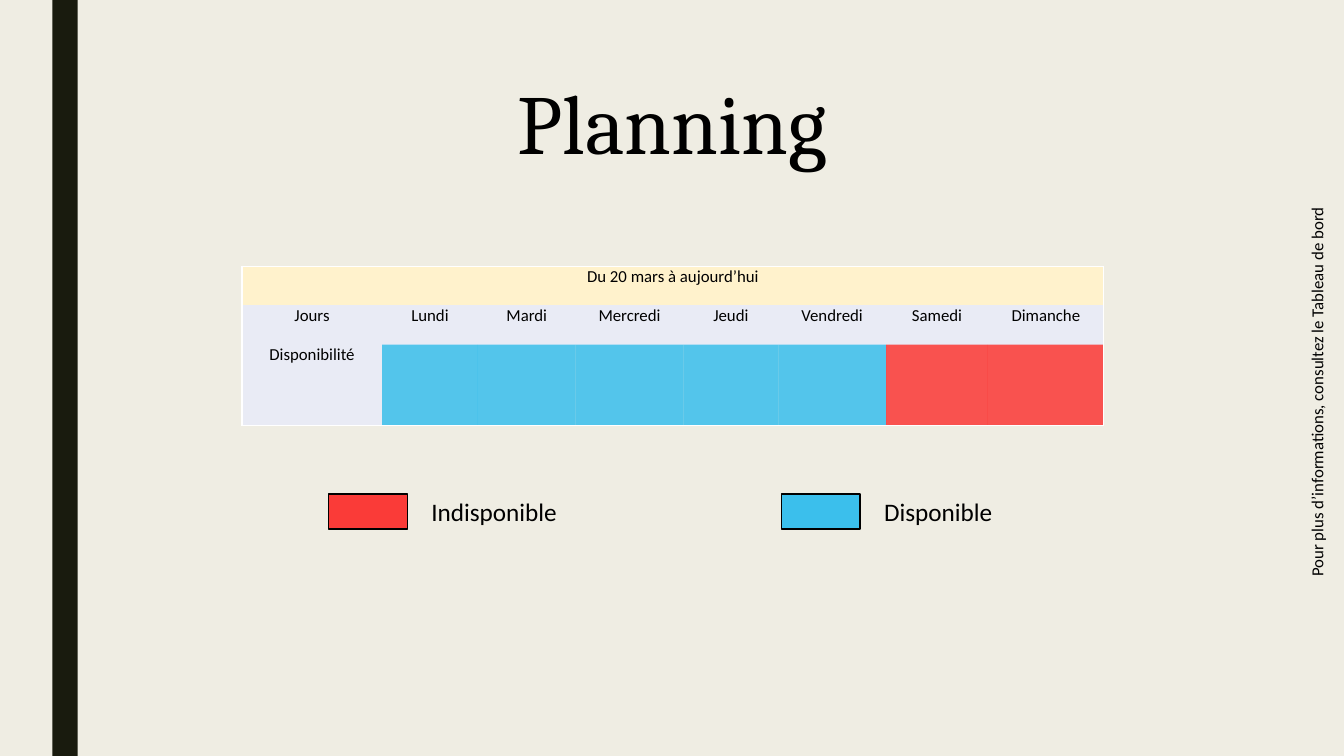
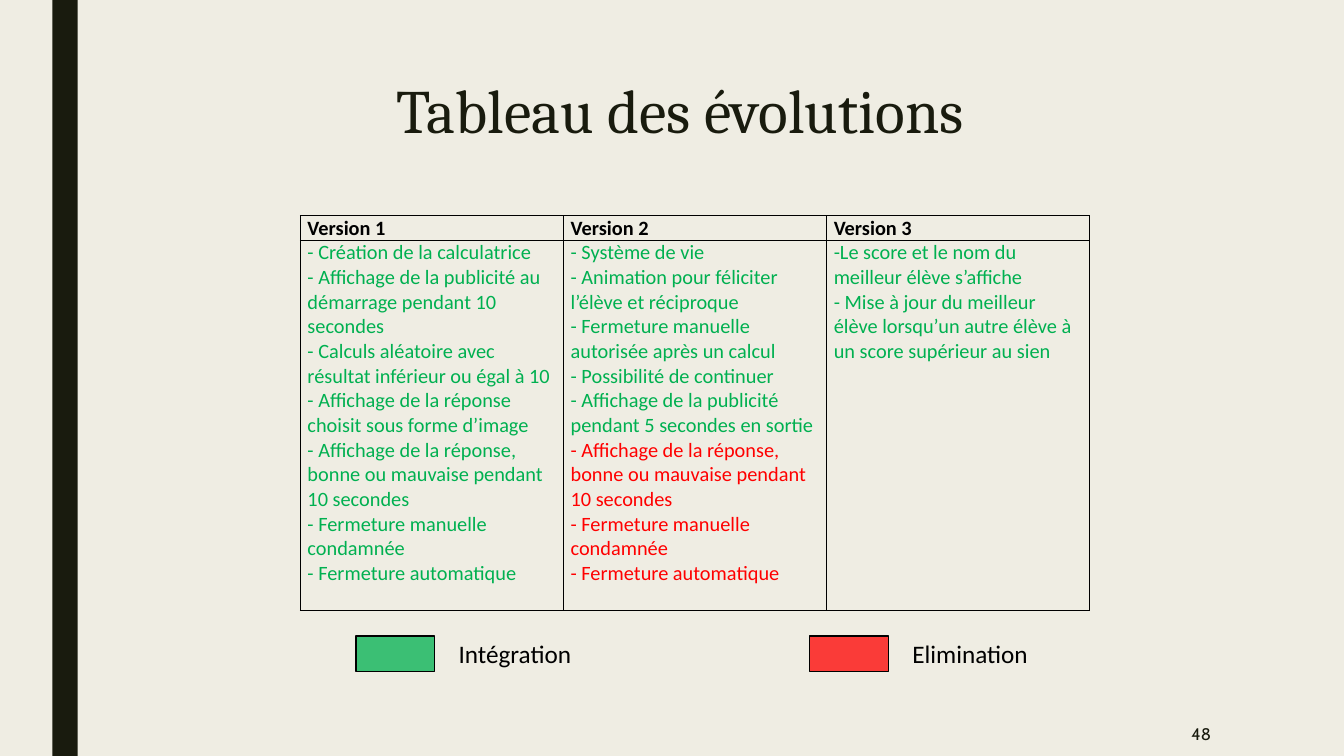
from lxml import etree
from pptx import Presentation
from pptx.dml.color import RGBColor
from pptx.enum import shapes, text
from pptx.oxml.ns import qn
from pptx.util import Inches, Pt

CREAM = RGBColor(0xEF, 0xED, 0xE3)
DARK = RGBColor(0x19, 0x1B, 0x0E)
BLACK = RGBColor(0, 0, 0)
WHITE = RGBColor(0xFF, 0xFF, 0xFF)
RED = RGBColor(0xFF, 0, 0)
BLUE = RGBColor(0, 0xB0, 0xF0)
GREEN = RGBColor(0, 0xB0, 0x50)
YELLOW = RGBColor(0xFF, 0xF2, 0xCC)
LAVENDER = RGBColor(0xE9, 0xEB, 0xF5)
NO_STYLE = "{2D5ABB26-0587-4C30-8999-92F81FD0307C}"


def set_opacity(props, percent):
    color = props.find(qn("a:solidFill")).find(qn("a:srgbClr"))
    etree.SubElement(color, qn("a:alpha"), val=str(percent * 1000))


def set_borders(cell, sides, color):
    props = cell._tc.get_or_add_tcPr()
    for i, side in enumerate(sides):
        ln = etree.Element(qn("a:ln" + side), w=str(Pt(1)))
        fill = etree.SubElement(ln, qn("a:solidFill"))
        etree.SubElement(fill, qn("a:srgbClr"), val=str(color))
        props.insert(i, ln)


prs = Presentation()
prs.slide_width, prs.slide_height = Inches(13.33), Inches(7.5)
master = prs.slide_master
master.background.fill.solid()
master.background.fill.fore_color.rgb = CREAM

titles = [
    ("Planning", (3.99, 0.65, 5.36, 1.11), 60, BLACK, 1.0),
    ("Tableau des évolutions", (1.5, 0.75, 10.5, 1.62), 44, DARK, 0.89),
]
for title, box, size, color, spacing in titles:
    s = prs.slides.add_slide(prs.slide_layouts[5])
    sp = s.shapes.title
    sp.left, sp.top, sp.width, sp.height = map(Inches, box)
    tf = sp.text_frame
    tf.text = title
    tf.auto_size = text.MSO_AUTO_SIZE.NONE
    tf.vertical_anchor = text.MSO_ANCHOR.TOP
    p = tf.paragraphs[0]
    p.alignment = text.PP_ALIGN.CENTER
    p.line_spacing = spacing
    p.font.name, p.font.size = "Cambria", Pt(size)
    p.font.color.rgb = color
planning, changes = prs.slides

bar = planning.shapes.add_shape(
    shapes.MSO_SHAPE.RECTANGLE, Inches(0.52), 0, Inches(0.25), prs.slide_height)
bar.shadow.inherit = False
bar.fill.solid()
bar.fill.fore_color.rgb = DARK
bar.line.fill.background()
bar.element.nvSpPr.cNvPr.set("id", "20")
master.shapes.element.insert(2, bar.element)

tables = []
for s, left, top, widths, heights in [
    (planning, 2.4, 2.64, [1.39, 0.95, 0.97, 1.07, 0.94, 1.07, 1.01, 1.15], [0.39, 0.39, 0.8]),
    (changes, 2.98, 2.14, [2.61] * 3, [0.24, 3.67]),
]:
    frame = s.shapes.add_table(
        len(heights), len(widths), Inches(left), Inches(top),
        Inches(sum(widths)), Inches(sum(heights)))
    table = frame.table
    table.first_row = table.horz_banding = False
    next(frame.element.iter(qn("a:tableStyleId"))).text = NO_STYLE
    for column, width in zip(table.columns, widths):
        column.width = Inches(width)
    for row, height in zip(table.rows, heights):
        row.height = Inches(height)
    for cell in table.iter_cells():
        cell.margin_left = cell.margin_right = Inches(0.07)
        cell.margin_top = cell.margin_bottom = 0
        cell.fill.background()
    tables.append(table)
week, versions = tables

days = ["Lundi", "Mardi", "Mercredi", "Jeudi", "Vendredi", "Samedi", "Dimanche"]
week.cell(0, 0).merge(week.cell(0, 7))
week.cell(0, 0).text = "Du 20 mars à aujourd’hui"
week.cell(2, 0).text = "Disponibilité"
for col, label in enumerate(["Jours"] + days):
    week.cell(1, col).text = label
    for row in range(3):
        cell = week.cell(row, col)
        available = row == 2 and col > 0
        cell.fill.solid()
        if available:
            cell.fill.fore_color.rgb = RED if col > 5 else BLUE
            set_opacity(cell._tc.tcPr, 65)
        else:
            cell.fill.fore_color.rgb = LAVENDER if row else YELLOW
        edges = {"L": col == 0, "R": col == 7 or row == 0, "T": row == 0, "B": row == 2}
        set_borders(cell, [side for side, drawn in edges.items() if drawn], WHITE)
        for p in cell.text_frame.paragraphs:
            p.alignment = text.PP_ALIGN.CENTER
            p.line_spacing = 1.01
            p.font.name, p.font.size = "Calibri", Pt(12)
            p.font.color.rgb = BLACK

contents = [
    ([
        "- Création de la calculatrice",
        "- Affichage de la publicité au démarrage pendant 10 secondes",
        "- Calculs aléatoire avec résultat inférieur ou égal à 10",
        "- Affichage de la réponse choisit sous forme d’image",
        "- Affichage de la réponse, bonne ou mauvaise pendant 10 secondes",
        "- Fermeture manuelle condamnée",
        "- Fermeture automatique",
    ], []),
    ([
        "- Système de vie",
        "- Animation pour féliciter l’élève et réciproque",
        "- Fermeture manuelle autorisée après un calcul",
        "- Possibilité de continuer",
        "- Affichage de la publicité pendant 5 secondes en sortie",
    ], [
        "- Affichage de la réponse, bonne ou mauvaise pendant 10 secondes",
        "- Fermeture manuelle condamnée",
        "- Fermeture automatique",
    ]),
    ([
        "-Le score et le nom du meilleur élève s’affiche",
        "- Mise à jour du meilleur élève lorsqu’un autre élève à un score supérieur au sien",
    ], []),
]
for col, (added, removed) in enumerate(contents):
    header, body = versions.cell(0, col), versions.cell(1, col)
    header.text = f"Version {col + 1}"
    body.text = "\n".join(added + removed)
    colors = [BLACK] + [GREEN] * len(added) + [RED] * len(removed)
    paragraphs = header.text_frame.paragraphs + body.text_frame.paragraphs
    for p, color in zip(paragraphs, colors):
        p.font.name, p.font.size = "Calibri", Pt(14.5)
        p.font.bold = color == BLACK
        p.font.color.rgb = color
    for cell in (header, body):
        set_borders(cell, "LRTB", BLACK)

labels = [
    (planning, "Pour plus d’informations, consultez le Tableau de bord",
     (9.82, 2.43, 6.48, 0.3), "Calibri", 12, BLACK),
    (changes, "48", (10.36, 7.06, 1.75, 0.44), "Cabin", 12, DARK),
]
for s, left, top, color, label in [
    (planning, 3.26, 4.9, RED, "Indisponible"),
    (planning, 7.75, 4.9, BLUE, "Disponible"),
    (changes, 3.53, 6.31, GREEN, "Intégration"),
    (changes, 8.03, 6.31, RED, "Elimination"),
]:
    key = s.shapes.add_shape(
        shapes.MSO_SHAPE.RECTANGLE, Inches(left), Inches(top), Inches(0.78), Inches(0.35))
    key.shadow.inherit = False
    key.fill.solid()
    key.fill.fore_color.rgb = color
    set_opacity(key.element.spPr, 75)
    key.line.color.rgb = BLACK
    key.line.width = Pt(1)
    labels.append((s, label, (left + 0.92, top - 0.03, 2.48, 0.4), "Calibri", 18, BLACK))

for s, label, box, font, size, color in labels:
    sp = s.shapes.add_textbox(*map(Inches, box))
    tf = sp.text_frame
    tf.word_wrap = True
    tf.text = label
    p = tf.paragraphs[0]
    p.font.name, p.font.size = font, Pt(size)
    p.font.color.rgb = color
    if s is planning and size == 12:
        sp.rotation = 270
    if s is changes and size == 12:
        tf.vertical_anchor = text.MSO_ANCHOR.MIDDLE
        p.alignment = text.PP_ALIGN.RIGHT

prs.save("out.pptx")
